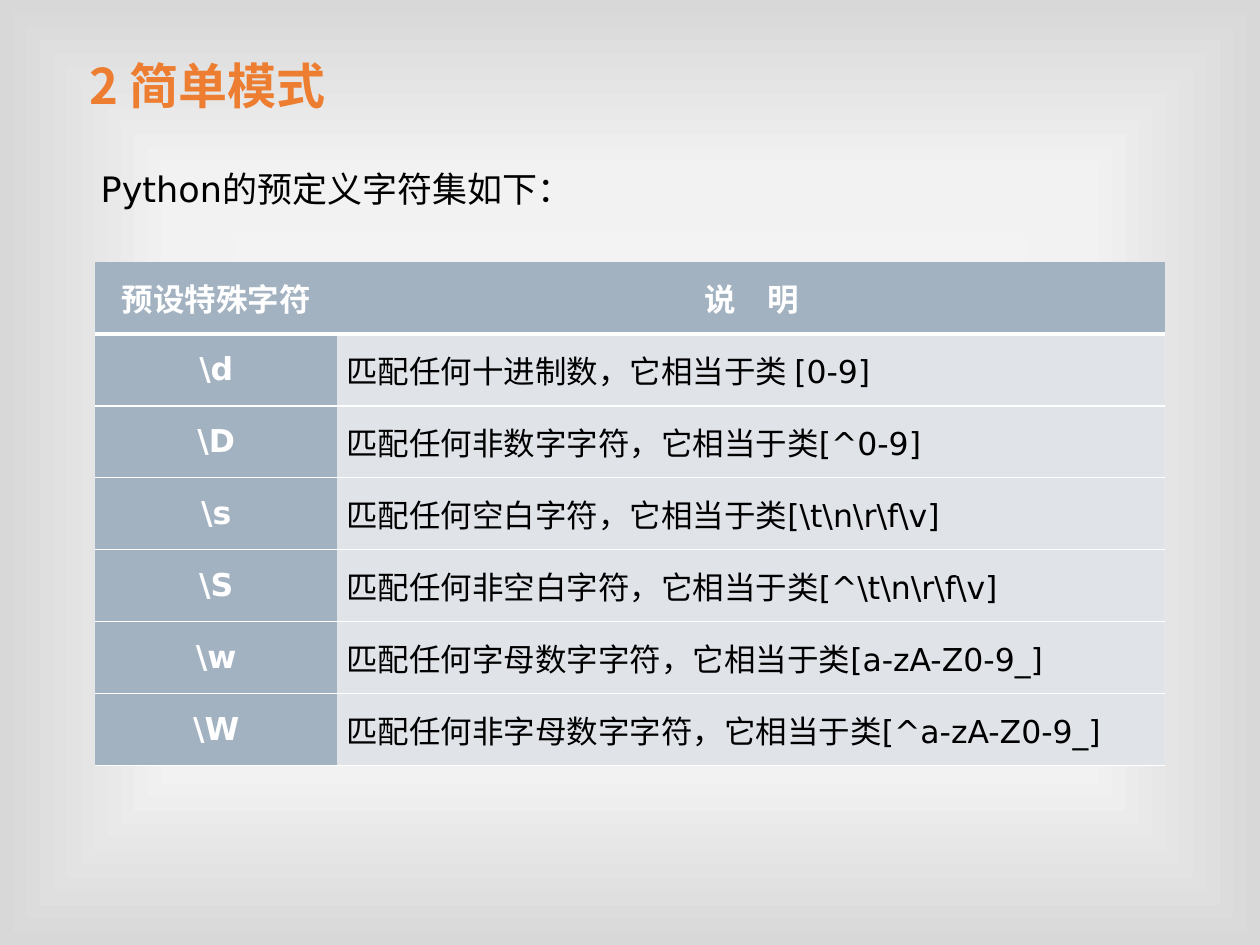
from lxml import etree
from pptx import Presentation
from pptx.dml.color import RGBColor
from pptx.enum.text import MSO_ANCHOR, PP_ALIGN
from pptx.oxml import parse_xml
from pptx.oxml.ns import nsdecls, qn
from pptx.util import Cm, Pt

MIDDLE = MSO_ANCHOR.MIDDLE
LEFT, CENTER, JUSTIFY = PP_ALIGN.LEFT, PP_ALIGN.CENTER, PP_ALIGN.JUSTIFY
SANS, CJK = "DejaVu Sans", "Noto Sans CJK SC"
ORANGE, BLACK, WHITE = "ED7D31", "000000", "FFFFFF"
SLATE, PALE = "A3B2C1", "E0E4E9"

TITLE = "2 简单模式"
INTRO = "Python的预定义字符集如下："
ROWS = [
    ("预设特殊字符", "说　明"),
    (r"\d", "匹配任何十进制数，它相当于类 [0-9]"),
    (r"\D", "匹配任何非数字字符，它相当于类[^0-9]"),
    (r"\s", r"匹配任何空白字符，它相当于类[\t\n\r\f\v]"),
    (r"\S", r"匹配任何非空白字符，它相当于类[^\t\n\r\f\v]"),
    (r"\w", "匹配任何字母数字字符，它相当于类[a-zA-Z0-9_]"),
    (r"\W", "匹配任何非字母数字字符，它相当于类[^a-zA-Z0-9_]"),
]
WIDTHS = (Cm(4.88), Cm(16.69))
HEIGHT = Cm(1.45)
STOPS = [(0, "F4F8FC"), (63, "F2F2F2"), (100, "D8D8D8")]


def rgb(code):
    return RGBColor.from_string(code)


def write(frame, text, size, face, color, bold=False, align=LEFT):
    frame.text = text
    para = frame.paragraphs[0]
    para.alignment = align
    font = para.font
    font.size, font.bold, font.name = Pt(size), bold, face
    font.color.rgb = rgb(color)
    props = para._p.pPr.find(qn("a:defRPr"))
    etree.SubElement(props, qn("a:ea")).set("typeface", CJK)
    return para


def paint(slide):
    stops = "".join(
        f'<a:gs pos="{pos * 1000}"><a:srgbClr val="{code}"/></a:gs>'
        for pos, code in STOPS)
    slide.element.cSld.insert(0, parse_xml(
        f'<p:bg {nsdecls("p", "a")}><p:bgPr><a:gradFill><a:gsLst>{stops}'
        '</a:gsLst><a:path path="shape"><a:fillToRect l="50000" t="50000" '
        'r="50000" b="50000"/></a:path></a:gradFill><a:effectLst/>'
        '</p:bgPr></p:bg>'))


def border(cell, top, bottom):
    props = cell._tc.get_or_add_tcPr()
    sides = (("L", 0), ("R", 0), ("T", top), ("B", bottom))
    for spot, (side, width) in enumerate(sides):
        fill = (f'<a:solidFill><a:srgbClr val="{WHITE}"/></a:solidFill>'
                if width else "<a:noFill/>")
        props.insert(spot, parse_xml(
            f'<a:ln{side} {nsdecls("a")} w="{Pt(width)}">{fill}</a:ln{side}>'))


def fill_cell(cell, text, row, col):
    head = row == 0
    dark = head or col == 0
    cell.vertical_anchor = MIDDLE
    cell.margin_left = cell.margin_right = Cm(0.18)
    cell.margin_top = cell.margin_bottom = 0
    cell.fill.solid()
    cell.fill.fore_color.rgb = rgb(SLATE if dark else PALE)
    para = write(cell.text_frame, text, 18, SANS, WHITE if dark else BLACK,
                 dark, CENTER if dark else JUSTIFY)
    para.space_after = Pt(1.2)
    border(cell, 0 if head else 3 if row == 1 else 1, 3 if head else 1)


def add_grid(slide):
    frame = slide.shapes.add_table(
        len(ROWS), len(WIDTHS), Cm(1.92), Cm(5.28),
        sum(WIDTHS), HEIGHT * len(ROWS))
    table = frame.table
    for column, width in zip(table.columns, WIDTHS):
        column.width = width
    for r, texts in enumerate(ROWS):
        table.rows[r].height = HEIGHT
        for c, text in enumerate(texts):
            fill_cell(table.cell(r, c), text, r, c)


def main():
    deck = Presentation()
    deck.slide_width, deck.slide_height = Cm(25.4), Cm(19.05)
    slide = deck.slides.add_slide(deck.slide_layouts[5])
    paint(slide)

    title = slide.shapes.title
    title.left, title.top = Cm(1.32), Cm(0.99)
    title.width, title.height = Cm(13.23), Cm(1.45)
    title.text_frame.margin_left = Cm(0.48)
    title.text_frame.vertical_anchor = MIDDLE
    write(title.text_frame, TITLE, 28, CJK, ORANGE, True)

    intro = slide.shapes.add_textbox(Cm(1.78), Cm(3.25), Cm(13.23), Cm(1.07))
    intro.text_frame.word_wrap = True
    write(intro.text_frame, INTRO, 20, SANS, BLACK)

    add_grid(slide)
    deck.save("out.pptx")


if __name__ == "__main__":
    main()
